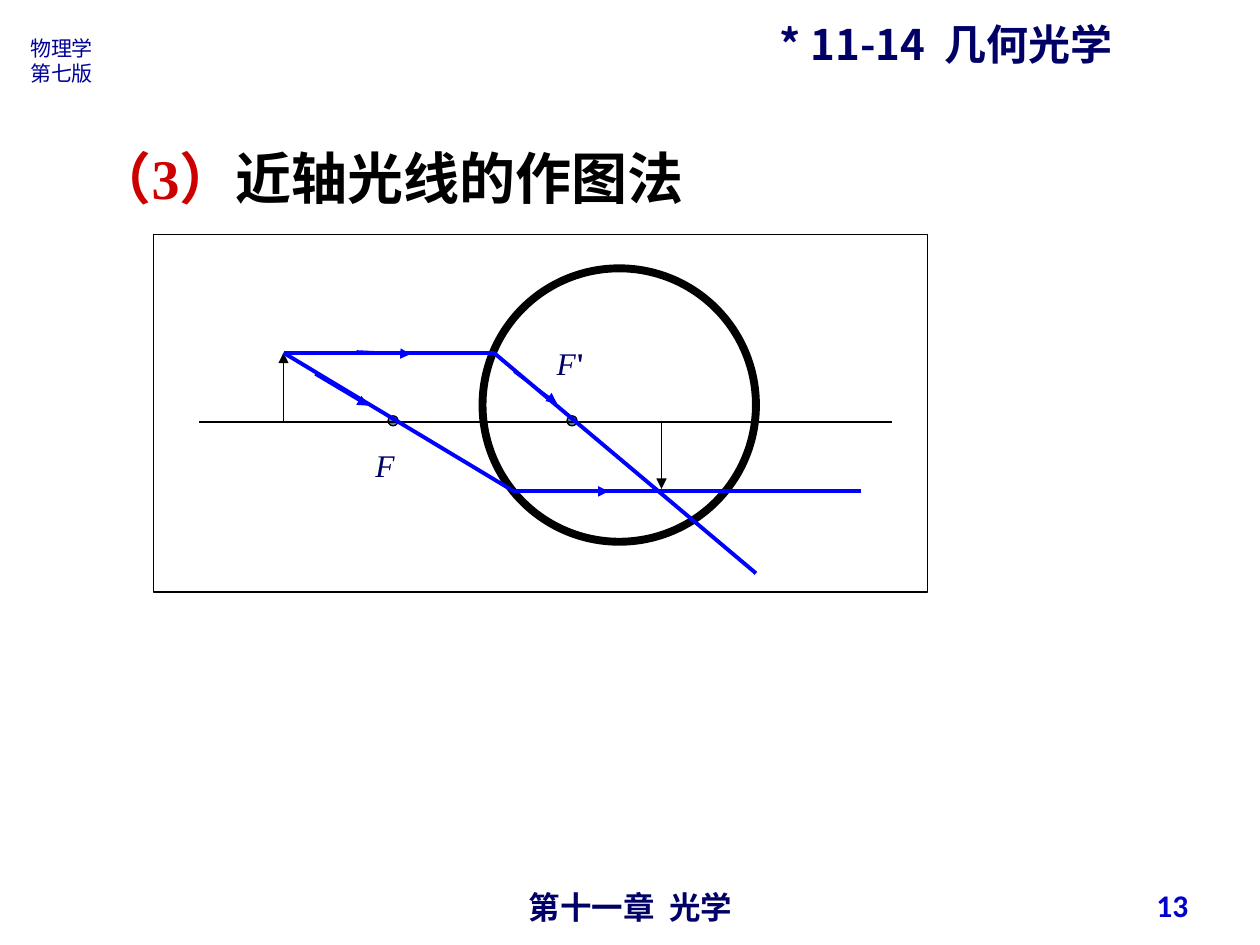
"""Build the slide on constructing paraxial rays through a spherical surface."""
from lxml import etree
from pptx import Presentation
from pptx.dml.color import RGBColor
from pptx.enum import shapes, text
from pptx.oxml import ns
from pptx.util import Inches, Pt

BLACK = RGBColor(0x00, 0x00, 0x00)
NAVY = RGBColor(0x00, 0x00, 0x66)
HEADER_BLUE = RGBColor(0x00, 0x00, 0x99)
NUMBER_BLUE = RGBColor(0x00, 0x00, 0xCC)
RAY_BLUE = RGBColor(0x00, 0x00, 0xFF)
RED = RGBColor(0xCC, 0x00, 0x00)
FOCUS_BLUE = RGBColor(0x4F, 0x81, 0xBD)
CJK = "Noto Sans CJK SC"
SERIF = "Times New Roman"
LEFT, CENTER, RIGHT = text.PP_ALIGN.LEFT, text.PP_ALIGN.CENTER, text.PP_ALIGN.RIGHT


def add_label(box, paragraphs, size, align=LEFT, wrap=True):
    frame = slide.shapes.add_textbox(*map(Inches, box)).text_frame
    frame.word_wrap = wrap
    for index, runs in enumerate(paragraphs):
        paragraph = frame.add_paragraph() if index else frame.paragraphs[0]
        paragraph.alignment = align
        for words, font, color, bold, italic in runs:
            run = paragraph.add_run()
            run.text = words
            run.font.size = Pt(size)
            run.font.name = font
            run.font.color.rgb = color
            run.font.bold = bold
            run.font.italic = italic
            east_asian = etree.SubElement(run._r.get_or_add_rPr(), ns.qn("a:ea"))
            east_asian.set("typeface", CJK)
    return frame


def add_line(start, end, color, width, arrow=False):
    line = slide.shapes.add_connector(
        shapes.MSO_CONNECTOR.STRAIGHT, *map(Inches, (*start, *end)))
    line.line.color.rgb = color
    line.line.width = Pt(width)
    properties = line._element.spPr
    if arrow:
        tail = etree.SubElement(properties.get_or_add_ln(), ns.qn("a:tailEnd"))
        tail.set("type", "triangle")
    etree.SubElement(properties, ns.qn("a:effectLst"))


prs = Presentation()
prs.slide_width, prs.slide_height = Inches(10), Inches(7.5)
slide = prs.slides.add_slide(prs.slide_layouts[6])

add_label((3.42, 7, 3.17, 0.29),
          [[("第十一章  光学", "Arial", NAVY, True, False)]], 18, CENTER)
add_label((0.14, 0.23, 0.72, 0.5),
          [[(words, CJK, HEADER_BLUE, False, False)] for words in ("物理学", "第七版")], 12)
add_label((6.09, 0.1, 3.28, 0.9),
          [[("* 11-14  几何光学", CJK, NAVY, True, False)]], 24)
page_number = add_label((7.2, 6.98, 2.33, 0.4),
                        [[("13", "Calibri", NUMBER_BLUE, True, False)]], 18, RIGHT)
page_number.vertical_anchor = text.MSO_ANCHOR.MIDDLE
add_label((0.66, 1.09, 5.2, 0.64),
          [[("（", "Arial", RED, True, False),
            ("3", SERIF, RED, True, False),
            ("）", "Arial", RED, True, False),
            ("近轴光线的作图法", "Arial", BLACK, True, False)]], 32)

AXIS_Y, TOP_RAY_Y, BOTTOM_RAY_Y = 3.35, 2.8, 3.9
OBJECT_X, IMAGE_X = 2.25, 5.25
object_tip = (OBJECT_X, TOP_RAY_Y)
upper_entry, lower_entry = (3.92, TOP_RAY_Y), (4.08, BOTTOM_RAY_Y)

OVAL, RECTANGLE = shapes.MSO_SHAPE.OVAL, shapes.MSO_SHAPE.RECTANGLE
for outline, box, fill, width in (
    (RECTANGLE, (1.22, 1.86, 6.14, 2.84), None, 0.75),
    (OVAL, (3.83, 2.13, 2.17, 2.17), None, 4.5),
    (OVAL, (3.08, 3.3, 0.08, 0.08), FOCUS_BLUE, 0.75),
    (OVAL, (4.5, 3.3, 0.08, 0.08), FOCUS_BLUE, 0.75),
):
    shape = slide.shapes.add_shape(outline, *map(Inches, box))
    shape.shadow.inherit = False
    shape.line.color.rgb = BLACK
    shape.line.width = Pt(width)
    if fill is None:
        shape.fill.background()
    else:
        shape.fill.solid()
        shape.fill.fore_color.rgb = fill

add_line((1.58, AXIS_Y), (7.08, AXIS_Y), BLACK, 0.75)
add_line((OBJECT_X, AXIS_Y), object_tip, BLACK, 0.75, arrow=True)
add_line((IMAGE_X, AXIS_Y), (IMAGE_X, 3.88), BLACK, 0.75, arrow=True)

for start, end in (
    (object_tip, upper_entry),
    (upper_entry, (6, 4.55)),
    (object_tip, lower_entry),
    (lower_entry, (6.83, BOTTOM_RAY_Y)),
):
    add_line(start, end, RAY_BLUE, 2.25)

for start, end in (
    ((2.83, 2.79), (3.26, 2.81)),
    ((2.5, 2.97), (2.92, 3.22)),
    ((4.42, BOTTOM_RAY_Y), (4.83, BOTTOM_RAY_Y)),
    ((4.08, 2.95), (4.42, 3.2)),
):
    add_line(start, end, RAY_BLUE, 1.5, arrow=True)

focus = ("F", SERIF, NAVY, False, True)
prime = ("'", SERIF, NAVY, True, False)
add_label((2.88, 3.49, 0.35, 0.4), [[focus]], 18, wrap=False)
add_label((4.32, 2.68, 0.42, 0.4), [[focus, prime]], 18, wrap=False)

prs.save("out.pptx")
